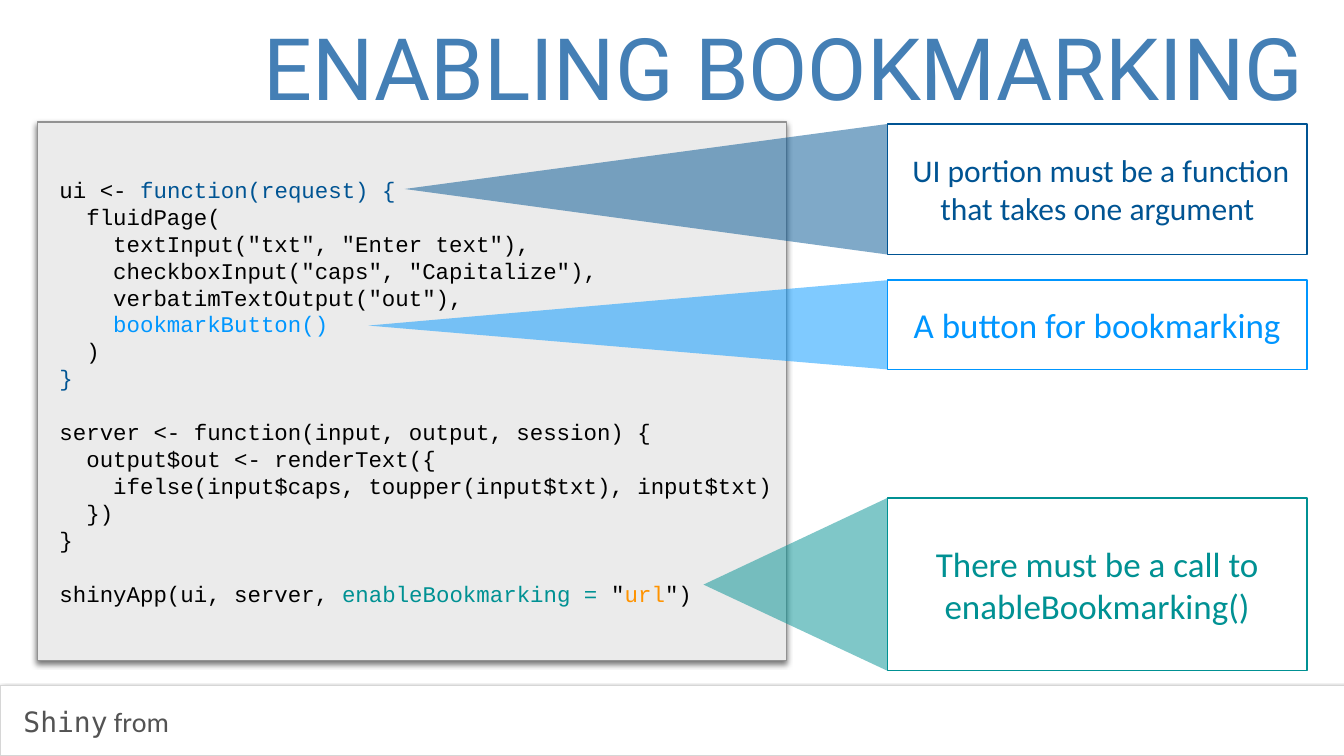
from lxml import etree
from pptx import Presentation
from pptx.dml.color import RGBColor
from pptx.enum.shapes import MSO_SHAPE
from pptx.enum.text import MSO_ANCHOR, MSO_AUTO_SIZE, PP_ALIGN
from pptx.oxml import parse_xml
from pptx.oxml.ns import nsdecls, qn
from pptx.util import Inches, Pt

COLORS = {
    "title": "447FB5", "panel": "EBEBEB", "panel_edge": "929292",
    "footer": "535353", "footer_edge": "D6D6D6", "white": "FFFFFF",
    "code": "000000", "ui": "005493", "button": "0096FF",
    "call": "009193", "value": "FF9300",
}
CODE_LINE = Pt(38.5)
# Each line is a list of (text, colour) pieces; blocks are one line apart.
CODE_BLOCKS = [
    [
        [("ui <- ", "code"), ("function(request) {", "ui")],
        [("  fluidPage(", "code")],
        [('    textInput("txt", "Enter text"),', "code")],
        [('    checkboxInput("caps", "Capitalize"),', "code")],
        [('    verbatimTextOutput("out"),', "code")],
        [("    bookmarkButton()", "button")],
        [("  )", "code")],
        [("}", "ui")],
    ],
    [
        [("server <- function(input, output, session) {", "code")],
        [("  output$out <- renderText({", "code")],
        [("    ifelse(input$caps, toupper(input$txt), input$txt)", "code")],
        [("  })", "code")],
        [("}", "code")],
    ],
    [
        [("shinyApp(ui, server, ", "code"), ("enableBookmarking = ", "call"),
         ('"', "code"), ("url", "value"), ('")', "code")],
    ],
]
# Text, size, colour, top, height, tip of the pointer
CALLOUTS = [
    ("There must be a call to enableBookmarking()", 50, "call",
     9.88, 3.43, (13.96, 11.6)),
    ("A button for bookmarking", 50, "button", 5.56, 1.77, (7.31, 6.46)),
    (" UI portion must be a function that takes one argument", 45, "ui",
     2.46, 2.59, (8.03, 3.75)),
]
CALLOUT_LEFT, CALLOUT_WIDTH = 17.61, 8.33


def rgb(name):
    return RGBColor.from_string(COLORS[name])


def set_font(font, face, size, color):
    font.name, font.size = face, Pt(size)
    font.color.rgb = rgb(color)


def set_frame(frame, wrap=True):
    """Centre the text vertically inside small, equal insets."""
    frame.word_wrap = wrap
    frame.auto_size = MSO_AUTO_SIZE.NONE
    frame.vertical_anchor = MSO_ANCHOR.MIDDLE
    frame.margin_left = frame.margin_right = Inches(0.06)
    frame.margin_top = frame.margin_bottom = Inches(0.06)


def add_box(slide, box, fill, edge, width):
    panel = slide.shapes.add_shape(MSO_SHAPE.RECTANGLE, *map(Inches, box))
    panel.shadow.inherit = False
    panel.fill.solid()
    panel.fill.fore_color.rgb = rgb(fill)
    panel.line.color.rgb = rgb(edge)
    panel.line.width = Pt(width)
    return panel


def add_shadow(shape, alpha, blur, distance):
    """Drop a black shadow straight down; alpha in percent, lengths in points."""
    effects = shape._element.spPr.find(qn("a:effectLst"))
    effects.append(parse_xml(
        f'<a:outerShdw {nsdecls("a")} blurRad="{Pt(blur)}" dist="{Pt(distance)}" '
        f'dir="5400000" rotWithShape="0"><a:srgbClr val="000000">'
        f'<a:alpha val="{alpha * 1000}"/></a:srgbClr></a:outerShdw>'))


def add_footer(slide, left, top, width, height):
    bar = add_box(slide, (left, top, width, height), "white", "footer_edge", 1)
    add_shadow(bar, 50, 4, 1.6)
    credit = slide.shapes.add_textbox(
        Inches(left + 0.27), Inches(top + 0.33), Inches(3.15), Inches(0.78))
    set_frame(credit.text_frame, wrap=False)
    line = credit.text_frame.paragraphs[0]
    for text, face in ((" ", "Calibri"), ("Shiny", "DejaVu Sans Mono"),
                       (" from", "Calibri")):
        run = line.add_run()
        run.text = text
        set_font(run.font, face, 40, "footer")


def add_title(slide, text, box):
    title = slide.shapes.title
    title.left, title.top, title.width, title.height = map(Inches, box)
    title.text = text
    set_frame(title.text_frame)
    heading = title.text_frame.paragraphs[0]
    heading.alignment = PP_ALIGN.RIGHT
    set_font(heading.font, "Roboto", 123, "title")


def add_code(slide, left, top, width, height):
    panel = add_box(slide, (left, top, width, height), "panel", "panel_edge", 2)
    add_shadow(panel, 55, 8, 4)
    listing = slide.shapes.add_textbox(
        Inches(left + 0.38), Inches(top + 0.98),
        Inches(width - 0.47), Inches(height - 1.96))
    frame = listing.text_frame
    set_frame(frame)
    line = None
    for block in CODE_BLOCKS:
        for index, pieces in enumerate(block):
            first = line is None
            line = frame.paragraphs[0] if first else frame.add_paragraph()
            line.font.name, line.font.size = "Courier New", Pt(32)
            line.line_spacing = CODE_LINE
            if index == 0 and not first:
                line.space_before = CODE_LINE
            for text, color in pieces:
                run = line.add_run()
                run.text = text
                run.font.color.rgb = rgb(color)


def add_callout(slide, text, size, color, top, height, tip):
    """Add an outlined note and a translucent pointer from it to the code."""
    note = add_box(slide, (CALLOUT_LEFT, top, CALLOUT_WIDTH, height),
                   "white", color, 2)
    set_frame(note.text_frame)
    note.text_frame.text = text
    message = note.text_frame.paragraphs[0]
    message.alignment = PP_ALIGN.CENTER
    set_font(message.font, "Calibri", size, color)

    outline = slide.shapes.build_freeform(*map(Inches, tip))
    outline.add_line_segments(
        [(Inches(CALLOUT_LEFT), Inches(y)) for y in (top, top + height)])
    pointer = outline.convert_to_shape()
    pointer.shadow.inherit = False
    pointer.line.fill.background()
    pointer.fill.solid()
    pointer.fill.fore_color.rgb = rgb(color)
    solid = pointer._element.spPr.find(qn("a:solidFill"))
    etree.SubElement(solid[0], qn("a:alpha")).set("val", "50000")


def main():
    deck = Presentation()
    deck.slide_width, deck.slide_height = Inches(26.67), Inches(15)
    slide = deck.slides.add_slide(deck.slide_layouts[5])
    add_footer(slide, 0.01, 13.6, 26.67, 1.39)
    add_title(slide, "ENABLING BOOKMARKING", (0.73, 0.23, 25.21, 2.18))
    add_code(slide, 0.74, 2.42, 14.87, 10.69)
    for callout in CALLOUTS:
        add_callout(slide, *callout)
    deck.save("out.pptx")


if __name__ == "__main__":
    main()
